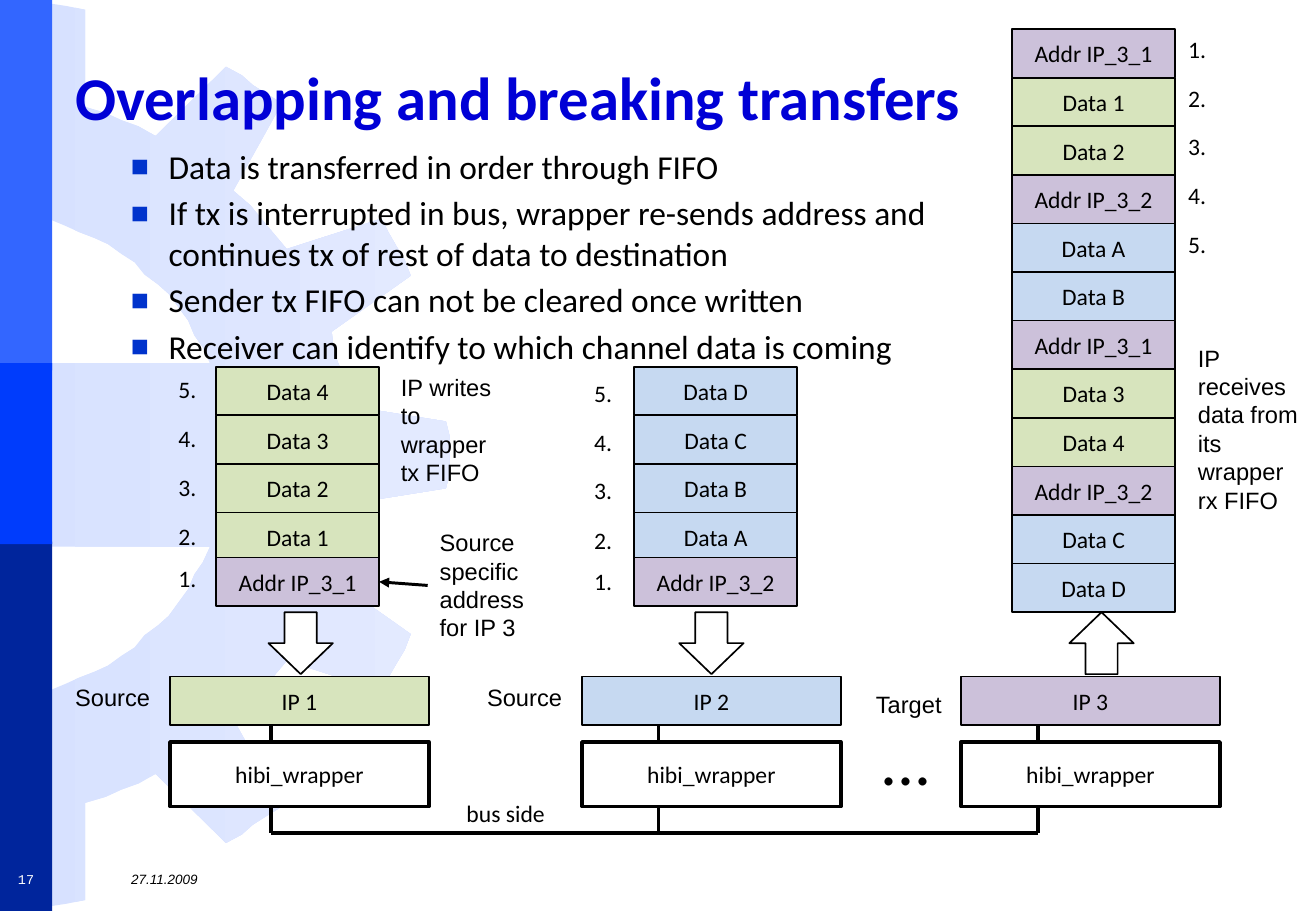
"""Build the slide about overlapping and breaking bus transfers."""
from dataclasses import dataclass

from lxml import etree
from pptx import Presentation
from pptx import shapes as shape_types
from pptx import slide as slides
from pptx import util as u
from pptx.dml.color import RGBColor
from pptx.enum import shapes, text
from pptx.oxml import ns
from pptx.shapes import autoshape, connector as connectors

BLACK = RGBColor(0x00, 0x00, 0x00)
WHITE = RGBColor(0xFF, 0xFF, 0xFF)
TITLE_BLUE = RGBColor(0x00, 0x00, 0xD6)
BULLET_BLUE = RGBColor(0x00, 0x33, 0xCC)
BAND_LIGHT = RGBColor(0x33, 0x66, 0xFF)
BAND_MIDDLE = RGBColor(0x00, 0x3C, 0xFC)
BAND_DARK = RGBColor(0x00, 0x25, 0x9C)
GEAR_LEFT = RGBColor(0xD7, 0xE1, 0xFF)
GEAR_RIGHT = RGBColor(0xE3, 0xEA, 0xFF)
GREEN = RGBColor(0xD7, 0xE4, 0xBD)
BLUE = RGBColor(0xC6, 0xD9, 0xF1)
LAVENDER = RGBColor(0xCC, 0xC1, 0xDA)

RECTANGLE = shapes.MSO_SHAPE.RECTANGLE
LEFT, CENTER = text.PP_ALIGN.LEFT, text.PP_ALIGN.CENTER
TOP, MIDDLE, BOTTOM = text.MSO_ANCHOR.TOP, text.MSO_ANCHOR.MIDDLE, text.MSO_ANCHOR.BOTTOM

CELL_WIDTH, CELL_HEIGHT = 1.34, 0.4
UNIT_WIDTH, UNIT_TOP, WRAPPER_TOP, BUS_Y = 2.13, 5.57, 6.11, 6.86
SENDER_TOPS = (3.02, 3.42, 3.82, 4.22, 4.59)
GEAR_HEIGHT = 749
GEAR_UPPER_HALF = [
    (0, 299), (173, 299), (167, 286), (160, 276), (155, 264), (147, 253), (139, 242),
    (130, 234), (119, 226), (111, 216), (100, 209), (89, 201), (78, 196), (65, 191),
    (54, 186), (42, 181), (28, 180), (14, 176), (14, 0), (29, 1), (42, 3), (55, 5),
    (70, 8), (70, 88), (87, 93), (100, 99), (114, 104), (128, 112), (186, 55),
    (199, 62), (208, 70), (219, 77), (232, 85), (192, 157), (206, 169), (215, 180),
    (225, 192), (236, 205), (314, 180), (320, 192), (327, 204), (333, 214),
    (338, 227), (273, 273), (275, 291), (281, 305), (283, 320), (286, 334),
    (367, 347), (370, 359), (370, 373),
]
BULLETS = (
    "Data is transferred in order through FIFO",
    "If tx is interrupted in bus, wrapper re-sends address and continues tx of rest of data to destination",
    "Sender tx FIFO can not be cleared once written",
    "Receiver can identify to which channel data is coming",
)


@dataclass
class Fifo:
    """A stack of words with numbers beside it."""
    left: float
    tops: tuple[float, ...]
    words: tuple[str, ...]
    numbers: str
    number_left: float
    number_tops: tuple[float, ...]


@dataclass
class Unit:
    """An IP block with its wrapper, bus line, role and arrow."""
    name: str
    left: float
    color: RGBColor
    bus_x: float
    arrow_left: float
    role: str
    role_box: tuple[float, float, float, float]
    rotation: int = 0


FIFOS = (
    Fifo(1.78, SENDER_TOPS, ("Data 4", "Data 3", "Data 2", "Data 1", "Addr IP_3_1"),
         "54321", 1.37, (3.04, 3.44, 3.84, 4.25, 4.59)),
    Fifo(5.22, SENDER_TOPS, ("Data D", "Data C", "Data B", "Data A", "Addr IP_3_2"),
         "54321", 4.79, (3.07, 3.47, 3.87, 4.28, 4.62)),
    Fifo(8.33, tuple(0.24 + CELL_HEIGHT * row for row in range(12)),
         ("Addr IP_3_1", "Data 1", "Data 2", "Addr IP_3_2", "Data A", "Data B",
          "Addr IP_3_1", "Data 3", "Data 4", "Addr IP_3_2", "Data C", "Data D"),
         "12345", 9.68, tuple(0.24 + CELL_HEIGHT * row for row in range(5))),
)
UNITS = (
    Unit("IP 1", 1.4, GREEN, 2.23, 2.21, "Source", (0.52, 5.57, 0.88, 0.34)),
    Unit("IP 2", 4.79, BLUE, 5.42, 5.59, "Source", (3.91, 5.57, 0.88, 0.34)),
    Unit("IP 3", 7.91, LAVENDER, 8.54, 8.8, "Target", (7.11, 5.63, 0.8, 0.34), 180),
)


def write_text(shape: autoshape.Shape, *lines: str, size: float = 14, font: str = "Calibri",
               color: RGBColor = BLACK, bold: bool = False, italic: bool = False,
               align: text.PP_ALIGN = LEFT, anchor: text.MSO_ANCHOR = TOP,
               wrap: bool = False) -> autoshape.Shape:
    """Put one formatted paragraph per line into a shape."""
    frame = shape.text_frame
    frame.word_wrap = wrap
    frame.vertical_anchor = anchor
    frame.text = "\n".join(lines)
    for paragraph in frame.paragraphs:
        paragraph.alignment = align
        style = paragraph.runs[0].font
        style.size, style.name, style.bold, style.italic = u.Pt(size), font, bold, italic
        style.color.rgb = color
    return shape


def add_text(slide: slides.Slide, box: tuple[float, float, float, float], *lines: str,
             **style) -> autoshape.Shape:
    """Add a text box given in inches."""
    return write_text(slide.shapes.add_textbox(*map(u.Inches, box)), *lines, **style)


def add_block(slide: slides.Slide, box: tuple[float, float, float, float], fill: RGBColor,
              line: float = 1, kind: shapes.MSO_SHAPE = RECTANGLE) -> autoshape.Shape:
    """Add a filled shape with a black outline, or none if its width is zero."""
    shape = slide.shapes.add_shape(kind, *map(u.Inches, box))
    shape.shadow.inherit = False
    shape.fill.solid()
    shape.fill.fore_color.rgb = fill
    if line:
        shape.line.color.rgb = BLACK
        shape.line.width = u.Pt(line)
    else:
        shape.line.fill.background()
    return shape


def add_line(slide: slides.Slide, ends: tuple[float, float, float, float],
             width: float = 2.25, arrow: bool = False) -> connectors.Connector:
    """Add a straight black line without shadow."""
    line = slide.shapes.add_connector(shapes.MSO_CONNECTOR.STRAIGHT, *map(u.Inches, ends))
    line.line.color.rgb = BLACK
    line.line.width = u.Pt(width)
    properties = line.element.spPr
    if arrow:
        etree.SubElement(properties.find(ns.qn("a:ln")), ns.qn("a:tailEnd"), type="triangle")
    etree.SubElement(properties, ns.qn("a:effectLst"))
    return line


def add_backdrop(slide: slides.Slide) -> None:
    """Draw the pale gear and the blue side bands."""
    lower_half = [(x, GEAR_HEIGHT - y) for x, y in reversed(GEAR_UPPER_HALF)]
    builder = slide.shapes.build_freeform(*GEAR_UPPER_HALF[0], scale=u.Inches(0.01))
    builder.add_line_segments(GEAR_UPPER_HALF[1:] + lower_half, close=True)
    gear = builder.convert_to_shape()
    gear.shadow.inherit = False
    gear.line.fill.background()
    gear.fill.gradient()
    gear.fill.gradient_angle = 0
    for stop, color in zip(gear.fill.gradient_stops, (GEAR_LEFT, GEAR_RIGHT)):
        stop.color.rgb = color
    for top, height, color in ((0, 3.05, BAND_LIGHT), (4.46, 3.04, BAND_DARK), (2.99, 1.49, BAND_MIDDLE)):
        add_block(slide, (0, top, 0.43, height), color, line=0)


def add_bullets(slide: slides.Slide) -> None:
    """Add the list with square bullets."""
    body = add_text(slide, (0.98, 1.15, 7.24, 1.76), *BULLETS, size=19.8, wrap=True)
    for paragraph in body.text_frame.paragraphs:
        paragraph.space_before = u.Pt(4)
        properties = paragraph._p.get_or_add_pPr()
        properties.set("marL", str(u.Inches(0.31)))
        properties.set("indent", str(u.Inches(-0.31)))
        color = etree.SubElement(properties, ns.qn("a:buClr"))
        etree.SubElement(color, ns.qn("a:srgbClr"), val=str(BULLET_BLUE))
        etree.SubElement(properties, ns.qn("a:buSzPct"), val="90000")
        etree.SubElement(properties, ns.qn("a:buFont"), typeface="Arial")
        etree.SubElement(properties, ns.qn("a:buChar"), char="■")


def word_color(word: str) -> RGBColor:
    """Return the colour of an address or of a data word by its sender."""
    if word.startswith("Addr"):
        return LAVENDER
    return GREEN if word[-1].isdigit() else BLUE


def add_fifo(slide: slides.Slide, fifo: Fifo) -> autoshape.Shape:
    """Draw a FIFO with its numbers and return its last cell."""
    for top, word in zip(fifo.tops, fifo.words):
        cell = add_block(slide, (fifo.left, top, CELL_WIDTH, CELL_HEIGHT), word_color(word))
        write_text(cell, word, align=CENTER, anchor=MIDDLE, wrap=True)
    for top, number in zip(fifo.number_tops, fifo.numbers):
        add_text(slide, (fifo.number_left, top, 0.35, 0.34), f"{number}.")
    return cell


def add_unit(slide: slides.Slide, unit: Unit) -> None:
    """Draw an IP block, its wrapper, bus line, role and arrow."""
    add_line(slide, (unit.bus_x, UNIT_TOP + CELL_HEIGHT, unit.bus_x, BUS_Y))
    wrapper = add_block(slide, (unit.left, WRAPPER_TOP, UNIT_WIDTH, 0.53), WHITE, line=2.25)
    write_text(wrapper, "hibi_wrapper", align=CENTER, anchor=MIDDLE)
    block = add_block(slide, (unit.left, UNIT_TOP, UNIT_WIDTH, CELL_HEIGHT), unit.color)
    write_text(block, unit.name, align=CENTER, anchor=MIDDLE, wrap=True)
    arrow = add_block(slide, (unit.arrow_left, 5.04, 0.53, 0.51), WHITE, kind=shapes.MSO_SHAPE.DOWN_ARROW)
    arrow.rotation = unit.rotation
    add_text(slide, unit.role_box, unit.role, font="Arial")


def main() -> None:
    """Build and save the presentation."""
    presentation = Presentation()
    presentation.slide_width, presentation.slide_height = u.Inches(10.83), u.Inches(7.5)
    slide = presentation.slides.add_slide(presentation.slide_layouts[6])
    add_backdrop(slide)
    title = add_text(slide, (0.52, 0.21, 7.69, 0.94), "Overlapping and breaking transfers",
                     size=36, color=TITLE_BLUE, bold=True, anchor=BOTTOM, wrap=True)
    title.text_frame.paragraphs[0].line_spacing = 0.9
    add_bullets(slide)
    add_text(slide, (0.98, 7.11, 9.39, 0.26), "27.11.2009", size=8, font="Arial",
             italic=True, anchor=MIDDLE, wrap=True)
    add_text(slide, (0, 7.11, 0.43, 0.26), "17", size=8, font="Courier New", color=WHITE,
             align=CENTER, anchor=MIDDLE)
    add_line(slide, (UNITS[0].bus_x, BUS_Y, UNITS[-1].bus_x, BUS_Y))
    for unit in UNITS:
        add_unit(slide, unit)
    add_text(slide, (3.74, 6.53, 0.85, 0.34), "bus side")
    add_text(slide, (7.15, 5.86, 0.62, 0.78), "...", size=40)
    address = [add_fifo(slide, fifo) for fifo in FIFOS][0]
    add_text(slide, (3.2, 3.02, 1.08, 1.04), "IP writes to wrapper tx FIFO", font="Arial", wrap=True)
    add_text(slide, (9.76, 2.78, 1.08, 1.51), "IP receives data from its wrapper rx FIFO", font="Arial", wrap=True)
    note = add_text(slide, (3.52, 4.3, 1.08, 1.04), "Source specific address for IP 3", font="Arial", wrap=True)
    pointer = add_line(slide, (3.52, 4.82, 3.12, 4.79), width=1.75, arrow=True)
    pointer.begin_connect(note, 1)
    pointer.end_connect(address, 3)
    presentation.save("out.pptx")


if __name__ == "__main__":
    main()
